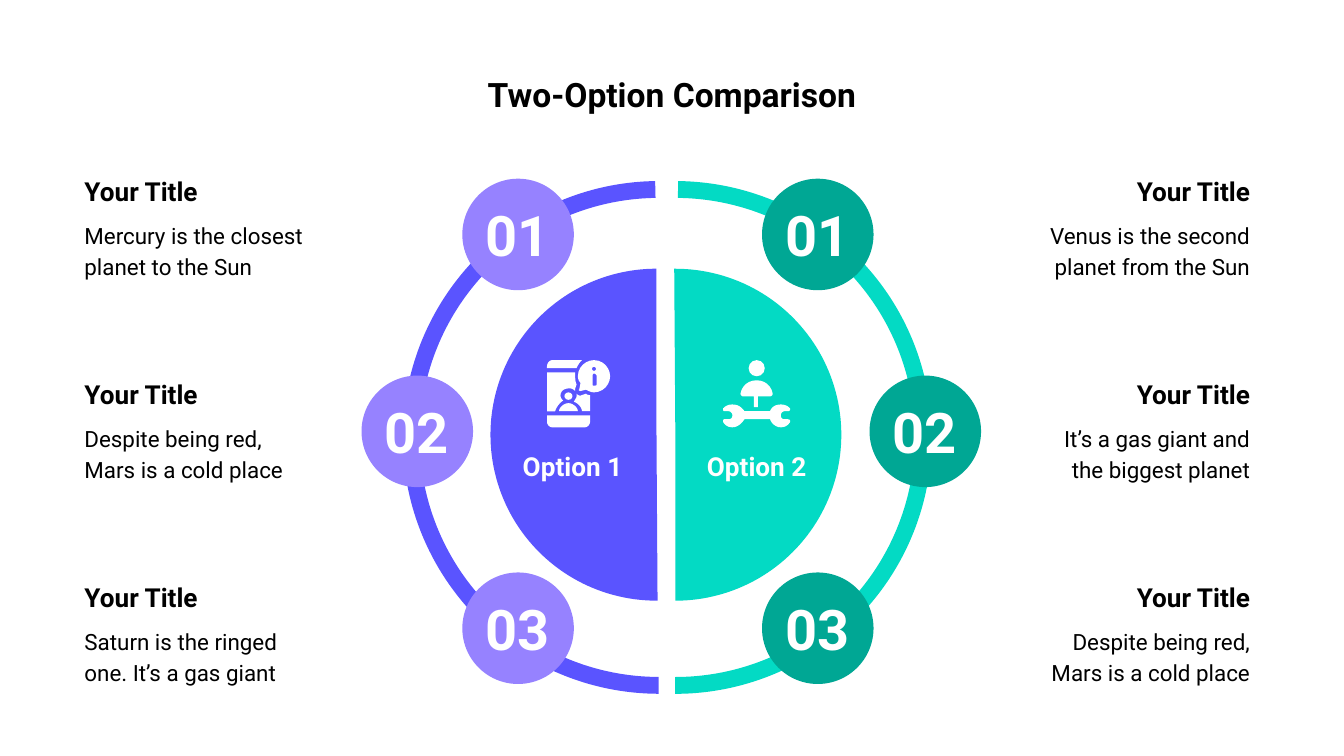
from pptx import Presentation
from pptx.dml.color import RGBColor
from pptx.enum.shapes import MSO_SHAPE
from pptx.enum.text import MSO_ANCHOR, PP_ALIGN
from pptx.util import Inches, Pt

ARC, PIE, OVAL = MSO_SHAPE.ARC, MSO_SHAPE.PIE, MSO_SHAPE.OVAL
LEFT, MID, RIGHT = PP_ALIGN.LEFT, PP_ALIGN.CENTER, PP_ALIGN.RIGHT
TOP, CENTER = MSO_ANCHOR.TOP, MSO_ANCHOR.MIDDLE

BLACK = RGBColor(0x00, 0x00, 0x00)
WHITE = RGBColor(0xFF, 0xFF, 0xFF)
VIOLET = RGBColor(0x5A, 0x54, 0xFF)
LILAC = RGBColor(0x96, 0x82, 0xFF)
AQUA = RGBColor(0x03, 0xDA, 0xC4)
TEAL = RGBColor(0x00, 0xA7, 0x94)

WIDTH = Inches(10)
COL = WIDTH // 1000  # the grid has 1000 columns of square cells
DISC = 83
STEPS = 6  # straight pieces per curve

deck = Presentation()
deck.slide_width, deck.slide_height = WIDTH, WIDTH * 9 // 16
slide = deck.slides.add_slide(deck.slide_layouts[6])
shapes = slide.shapes


def draw(kind, x, y, w, h, fill=None):
    """Add a flat preset shape, placed in grid cells."""
    shape = shapes.add_shape(kind, *(round(n * COL) for n in (x, y, w, h)))
    shape.shadow.inherit = False
    shape.line.fill.background()
    if fill is None:
        shape.fill.background()
    else:
        shape.fill.solid()
        shape.fill.fore_color.rgb = fill
    return shape


def write(text, x, y, w, h, size, align, color=BLACK, bold=True, anchor=CENTER, space=None):
    """Add a wrapped text box, placed in grid cells."""
    box = shapes.add_textbox(*(round(n * COL) for n in (x, y, w, h)))
    frame = box.text_frame
    frame.text = text
    frame.word_wrap = True
    frame.vertical_anchor = anchor
    frame.margin_left = frame.margin_right = Inches(0.1)
    frame.margin_top = frame.margin_bottom = Inches(0.1)
    para = frame.paragraphs[0]
    para.alignment = align
    para.line_spacing = space
    font = para.runs[0].font
    font.name, font.size, font.bold = "Roboto", Pt(size), bold
    font.color.rgb = color


# Outer rings with numbered discs: arc left, start and end in degrees, disc lefts
rings = [
    (306, 90.14, 269.1, VIOLET, LILAC, (344, 269, 344)),
    (318, 270.62, 90.03, AQUA, TEAL, (567, 647, 567)),
]
for x, start, end, dark, light, discs in rings:
    ring = draw(ARC, x, 141, 369, 369)
    ring.adjustments[0], ring.adjustments[1] = start * 0.6, end * 0.6
    ring.line.color.rgb = dark
    ring.line.width = Pt(9)
    for row, left in enumerate(discs):
        y = 133 + 146.5 * row
        draw(OVAL, left, y, DISC, DISC, light)
        write(f"0{row + 1}", left, y + 29, 82, 25, 30, MID, WHITE)

write("Two-Option Comparison", 50, 45, 900, 53, 18, MID, anchor=TOP)

# Side notes: heading left, body left, alignment, bodies from top to bottom
notes = [
    (53, 53, LEFT, (
        "Mercury is the closest planet to the Sun",
        "Despite being red, Mars is a cold place",
        "Saturn is the ringed one. It’s a gas giant",
    )),
    (811, 755, RIGHT, (
        "Venus is the second planet from the Sun",
        "It’s a gas giant and the biggest planet",
        "Despite being red, Mars is a cold place",
    )),
]
for head, body, align, texts in notes:
    for row, text in enumerate(texts):
        y = 130 + 151 * row
        write(text, body, y + 30.5, 185, 50, 12, align, bold=False, space=1.15)
        write("Your Title", head, y, 129, 25, 14, align)

# Inner halves: pie left, start and end in degrees, label left
halves = [
    (365, 89.62, 270, VIOLET, "Option 1", 365),
    (379, 269.62, 90, AQUA, "Option 2", 502),
]
for x, start, end, color, text, left in halves:
    half = draw(PIE, x, 200, 247, 247, color)
    half.adjustments[0], half.adjustments[1] = start * 0.6, end * 0.6
    write(text, left, 334, 122, 25, 14, MID, WHITE)

# Icons: each outline is a list of loops; two numbers make a line, six a curve
wrench = [
    (7, 33), (4, 33, 2, 34, 0, 36), (0, 37, 0, 38, 1, 38), (4, 38),
    (6, 38, 7, 40, 7, 41), (7, 43, 6, 44, 4, 44), (1, 44),
    (0, 44, 0, 45, 0, 46), (2, 49, 4, 50, 7, 50), (11, 50, 14, 47, 16, 44),
    (35, 44), (36, 47, 39, 50, 43, 50), (46, 50, 48, 49, 50, 46),
    (50, 45, 50, 44, 48, 44), (46, 44), (44, 44, 43, 43, 43, 41),
    (43, 40, 44, 38, 46, 38), (48, 38), (50, 38, 50, 37, 50, 36),
    (48, 34, 46, 33, 43, 33), (39, 33, 36, 35, 35, 38), (16, 38),
    (14, 35, 11, 33, 7, 33),
]
torso = [
    (25, 15), (19, 15, 14, 19, 13, 25), (13, 26, 14, 27, 15, 27), (23, 27),
    (23, 35), (26, 35), (26, 27), (35, 27), (36, 27, 37, 26, 37, 25),
    (36, 19, 31, 15, 25, 15),
]
bust = [(16, 32), (13, 32, 9, 35, 9, 38), (23, 38), (23, 35, 19, 32, 16, 32)]
edge = [
    (29, 25), (26, 26), (24, 27, 23, 26, 22, 25), (22, 27),
    (22, 28, 21, 29, 20, 31), (23, 32, 26, 35, 26, 38), (32, 38), (32, 26),
    (31, 26, 30, 26, 29, 25),
]
screen = [
    (0, 9), (0, 38), (6, 38), (7, 35, 9, 32, 12, 30), (11, 29, 10, 28, 10, 26),
    (10, 23, 13, 21, 16, 21), (18, 21, 19, 21, 21, 23), (21, 21), (22, 18),
    (21, 16, 21, 14, 21, 12), (21, 9),
]
bubble = [
    (35, 0), (29, 0, 23, 5, 23, 12), (23, 14, 24, 16, 25, 17), (24, 22),
    (23, 22, 24, 23, 25, 23), (29, 22), (31, 23, 33, 24, 35, 24),
    (42, 24, 47, 18, 47, 12), (47, 6, 42, 0, 35, 0),
]
dot = [(35, 5), (37, 5, 37, 8, 35, 8), (33, 8, 33, 5, 35, 5)]
stem = [
    (35, 10), (36, 10, 37, 11, 37, 12), (37, 18), (37, 19, 36, 19, 35, 19),
    (34, 19, 34, 19, 34, 18), (34, 12), (34, 11, 34, 10, 35, 10),
]
base = [(0, 41), (0, 46), (0, 48, 2, 50, 4, 50), (28, 50), (30, 50, 32, 48, 32, 46), (32, 41)]
cap = [(4, 0), (2, 0, 0, 2, 0, 5), (0, 6), (22, 6), (23, 4, 24, 2, 26, 0)]

# Icon left, head oval, outlines
icons = [
    (538, (19, 0, 12, 12), [[wrench], [torso]]),
    (407, (13, 24, 6, 5.5), [[bust], [edge], [screen], [dot, stem, bubble], [base], [cap]]),
]
ICON_TOP = 268
for left, (x, y, w, h), outlines in icons:
    for loops in outlines:
        pen = None
        for loop in loops:
            dots = [loop[0]]
            for part in loop[1:]:
                if len(part) == 2:
                    dots.append(part)
                    continue
                ends = (dots[-1], part[:2], part[2:4], part[4:])
                for step in range(1, STEPS + 1):
                    t = step / STEPS
                    mix = ((1 - t) ** 3, 3 * t * (1 - t) ** 2, 3 * t * t * (1 - t), t ** 3)
                    dots.append(tuple(sum(m * p[k] for m, p in zip(mix, ends)) for k in (0, 1)))
            dots = [((left + a) * COL, (ICON_TOP + b) * COL) for a, b in dots]
            if pen is None:
                pen = shapes.build_freeform(*dots[0])
            else:
                pen.move_to(*dots[0])
            pen.add_line_segments(dots[1:], close=True)
        piece = pen.convert_to_shape()
        piece.shadow.inherit = False
        piece.fill.solid()
        piece.fill.fore_color.rgb = WHITE
        piece.line.fill.background()
    draw(OVAL, left + x, ICON_TOP + y, w, h, WHITE)

deck.save("out.pptx")
